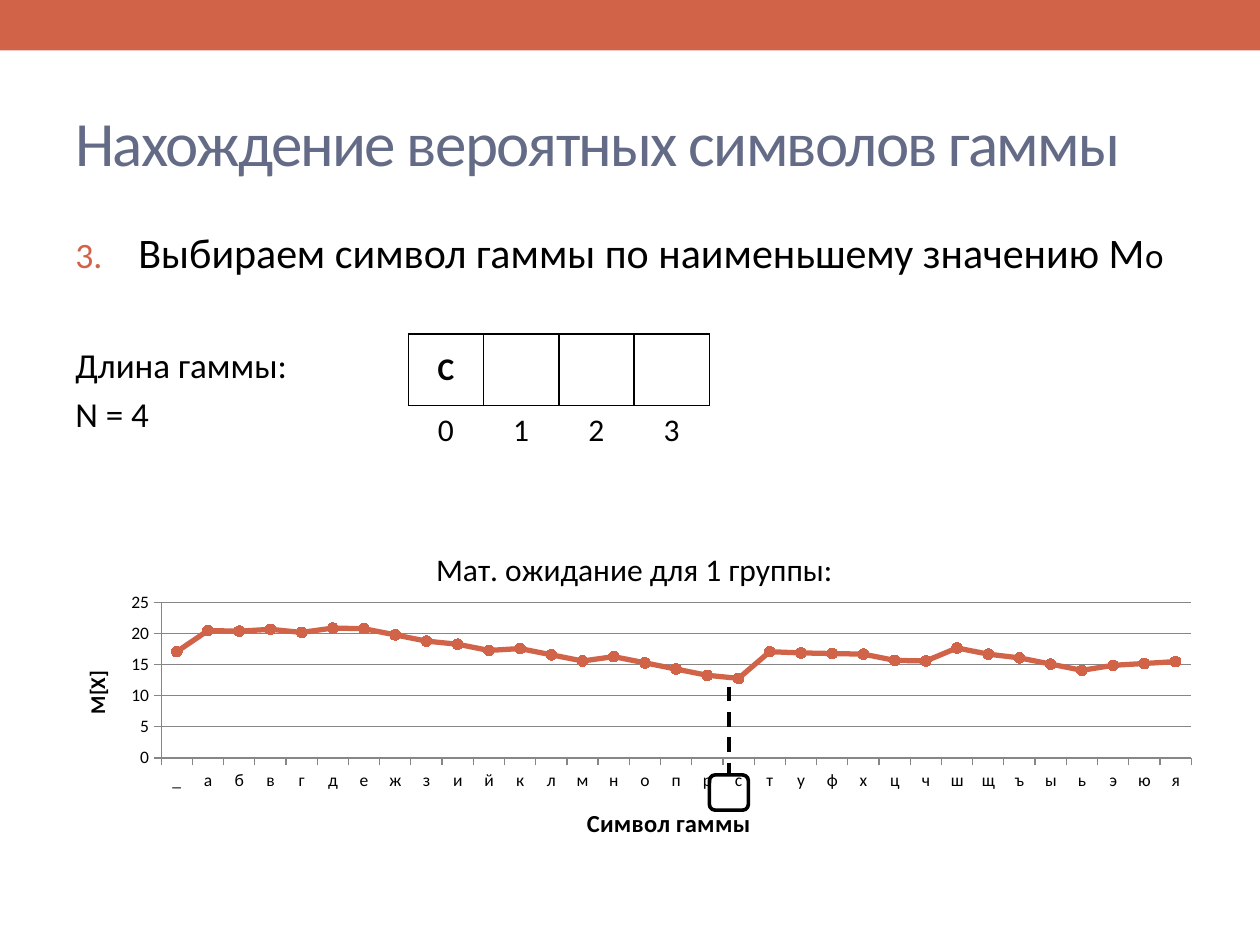
import pptx
import pptx.chart.data
import pptx.dml.color
import pptx.enum.chart
import pptx.enum.dml
import pptx.enum.shapes
import pptx.enum.text
import pptx.oxml
import pptx.oxml.ns
import pptx.util
from lxml import etree

W, H = 10, 7.5
FONT, BLACK, ACCENT, SLATE, GRAY = "Calibri", "000000", "D16349", "646B86", "868686"
SYMBOLS = "_абвгдежзийклмнопрстуфхцчшщъыьэюя"
MEANS = [17.1, 20.5, 20.4, 20.7, 20.2, 20.9, 20.8, 19.8, 18.8, 18.3, 17.3,
         17.6, 16.6, 15.6, 16.3, 15.3, 14.3, 13.3, 12.8, 17.1, 16.9, 16.8,
         16.7, 15.7, 15.6, 17.7, 16.7, 16.1, 15.1, 14.1, 14.9, 15.2, 15.5]
inch = pptx.util.Inches
qn = pptx.oxml.ns.qn


def color(value):
    return pptx.dml.color.RGBColor.from_string(value)


def set_font(font, size, fill=BLACK, bold=False):
    font.name, font.size, font.bold = FONT, pptx.util.Pt(size), bold
    font.color.rgb = color(fill)


def add_text(p, text, size, fill=BLACK, bold=False, center=False, before=0, spacing=0):
    r = p.add_run()
    r.text = text
    set_font(r.font, size, fill, bold)
    if spacing:
        r.font._element.set("spc", str(spacing * 100))
    if center:
        p.alignment = pptx.enum.text.PP_ALIGN.CENTER
    if before:
        p.space_before = pptx.util.Pt(before)


def add_xml(parent, tag, **attributes):
    return etree.SubElement(parent, qn(tag), attributes)


def add_box(slide, box):
    tf = slide.shapes.add_textbox(*map(inch, box)).text_frame
    tf.word_wrap = True
    return tf


def add_header(slide, box):
    x, y, w, h = box
    bar = slide.shapes.add_shape(pptx.enum.shapes.MSO_SHAPE.RECTANGLE, 0, 0, inch(W), inch(0.4))
    bar.shadow.inherit = False
    bar.fill.solid()
    bar.fill.fore_color.rgb = color(ACCENT)
    bar.line.fill.background()
    tf = add_box(slide, box)
    tf.vertical_anchor = pptx.enum.text.MSO_ANCHOR.MIDDLE
    add_text(tf.paragraphs[0], "Нахождение вероятных символов гаммы", 36, SLATE, spacing=-1)


def add_body(slide, box):
    tf = add_box(slide, box)
    p = tf.paragraphs[0]
    pPr = p._p.get_or_add_pPr()
    pPr.set("marL", str(inch(0.5)))
    pPr.set("indent", str(-inch(0.5)))
    add_xml(add_xml(pPr, "a:buClr"), "a:srgbClr", val=ACCENT)
    add_xml(pPr, "a:buSzPct", val="85000")
    add_xml(pPr, "a:buAutoNum", type="arabicPeriod", startAt="3")
    add_text(p, "Выбираем символ гаммы по наименьшему значению М", 24)
    add_text(p, "о", 20)
    add_text(tf.add_paragraph(), "Длина гаммы:", 20, before=38)
    add_text(tf.add_paragraph(), "N = 4", 20, before=4)


def set_borders(cell, sides):
    tcPr = cell._tc.get_or_add_tcPr()
    for at, side in enumerate("LRTB"):
        ln = etree.Element(qn(f"a:ln{side}"), w="12700")
        if side in sides:
            add_xml(add_xml(ln, "a:solidFill"), "a:srgbClr", val=BLACK)
        else:
            add_xml(ln, "a:noFill")
        tcPr.insert(at, ln)


def add_key_table(slide, box):
    rows = [["С", "", "", ""], ["0", "1", "2", "3"]]
    frame = slide.shapes.add_table(len(rows), len(rows[0]), *map(inch, box))
    table = frame.table
    table.first_row = table.horz_banding = False
    for i, row in enumerate(rows):
        for j, text in enumerate(row):
            cell = table.cell(i, j)
            cell.fill.background()
            set_borders(cell, "T" if i else "LRTB")
            if i == 0:
                cell.vertical_anchor = pptx.enum.text.MSO_ANCHOR.MIDDLE
            if text:
                add_text(cell.text_frame.paragraphs[0], text, 18, bold=i == 0, center=True)


def set_layout(parent, position, **shares):
    """Place a chart part by shares of the chart's size."""
    for old in parent.findall(qn("c:layout")):
        parent.remove(old)
    layout = etree.Element(qn("c:layout"))
    parent.insert(position, layout)
    manual = add_xml(layout, "c:manualLayout")
    if "w" in shares:
        add_xml(manual, "c:layoutTarget", val="inner")
    for key in "xy":
        add_xml(manual, f"c:{key}Mode", val="edge")
    for key, share in shares.items():
        add_xml(manual, f"c:{key}", val=str(share))


def set_chart_title(owner, title, text, size, x, y, bold=False):
    owner.has_title = True
    add_text(title.text_frame.paragraphs[0], text, size, bold=bold)
    set_layout(title._element, 1, x=x, y=y)


def add_means_chart(slide, box):
    data = pptx.chart.data.CategoryChartData()
    data.categories = list(SYMBOLS)
    data.add_series("Series 1", MEANS)
    kind = pptx.enum.chart.XL_CHART_TYPE.LINE_MARKERS
    chart = slide.shapes.add_chart(kind, *map(inch, box), data).chart
    chart.has_legend = False
    set_font(chart.font, 10)
    chart.has_title = True
    set_chart_title(chart, chart.chart_title, "Мат. ожидание для 1 группы:", 18, 0.33, 0.06)
    cat, val = chart.category_axis, chart.value_axis
    cat.has_title = val.has_title = True
    set_chart_title(cat, cat.axis_title, "Символ гаммы", 14, 0.46, 0.83, bold=True)
    set_chart_title(val, val.axis_title, "M[X]", 12, 0.03, 0.43, bold=True)
    val.axis_title.text_frame._txBody.bodyPr.set("rot", "-5400000")
    val.minimum_scale, val.maximum_scale, val.major_unit = 0, 25, 5
    val.has_major_gridlines = True
    for line in (cat.format.line, val.format.line, val.major_gridlines.format.line):
        line.color.rgb = color(GRAY)
        line.width = pptx.util.Pt(0.75)
    for axis in (cat, val):
        axis.major_tick_mark = pptx.enum.chart.XL_TICK_MARK.OUTSIDE
    plot = chart.plots[0]
    plot.vary_by_categories = False
    series = plot.series[0]
    series.smooth = False
    series.format.line.color.rgb = color(ACCENT)
    series.format.line.width = pptx.util.Pt(3)
    marker = series.marker
    marker.style, marker.size = pptx.enum.chart.XL_MARKER_STYLE.CIRCLE, 6
    marker.format.fill.solid()
    marker.format.fill.fore_color.rgb = color(ACCENT)
    marker.format.line.color.rgb = color(ACCENT)
    set_layout(chart._chartSpace.chart.plotArea, 0, x=0.1, y=0.24, w=0.88, h=0.46)


def add_minimum_mark(slide, box, rise):
    """Frame the chosen symbol and join it to its point above."""
    x, y, w, h = box
    kind = pptx.enum.shapes.MSO_SHAPE.ROUNDED_RECTANGLE
    frame = slide.shapes.add_shape(kind, *map(inch, box))
    frame.shadow.inherit = False
    frame.fill.background()
    mid = x + w / 2
    straight = pptx.enum.shapes.MSO_CONNECTOR.STRAIGHT
    link = slide.shapes.add_connector(straight, *map(inch, (mid, y - rise, mid, y)))
    add_xml(link._element.spPr, "a:effectLst")
    for sp in (frame, link):
        sp.line.color.rgb = color(BLACK)
        sp.line.width = pptx.util.Pt(2.08)
    link.line.dash_style = pptx.enum.dml.MSO_LINE.DASH


def main():
    prs = pptx.Presentation()
    prs.slide_width, prs.slide_height = inch(W), inch(H)
    slide = prs.slides.add_slide(prs.slide_layouts[6])
    add_header(slide, (0.5, 0.58, 9, 1.08))
    add_body(slide, (0.5, 1.75, 9, 5.33))
    add_key_table(slide, (3.24, 2.65, 2.39, 1.14))
    add_means_chart(slide, (0.35, 4.14, 9.29, 2.68))
    add_minimum_mark(slide, (5.63, 6.15, 0.31, 0.28), 0.7)
    prs.save("out.pptx")


if __name__ == "__main__":
    main()
